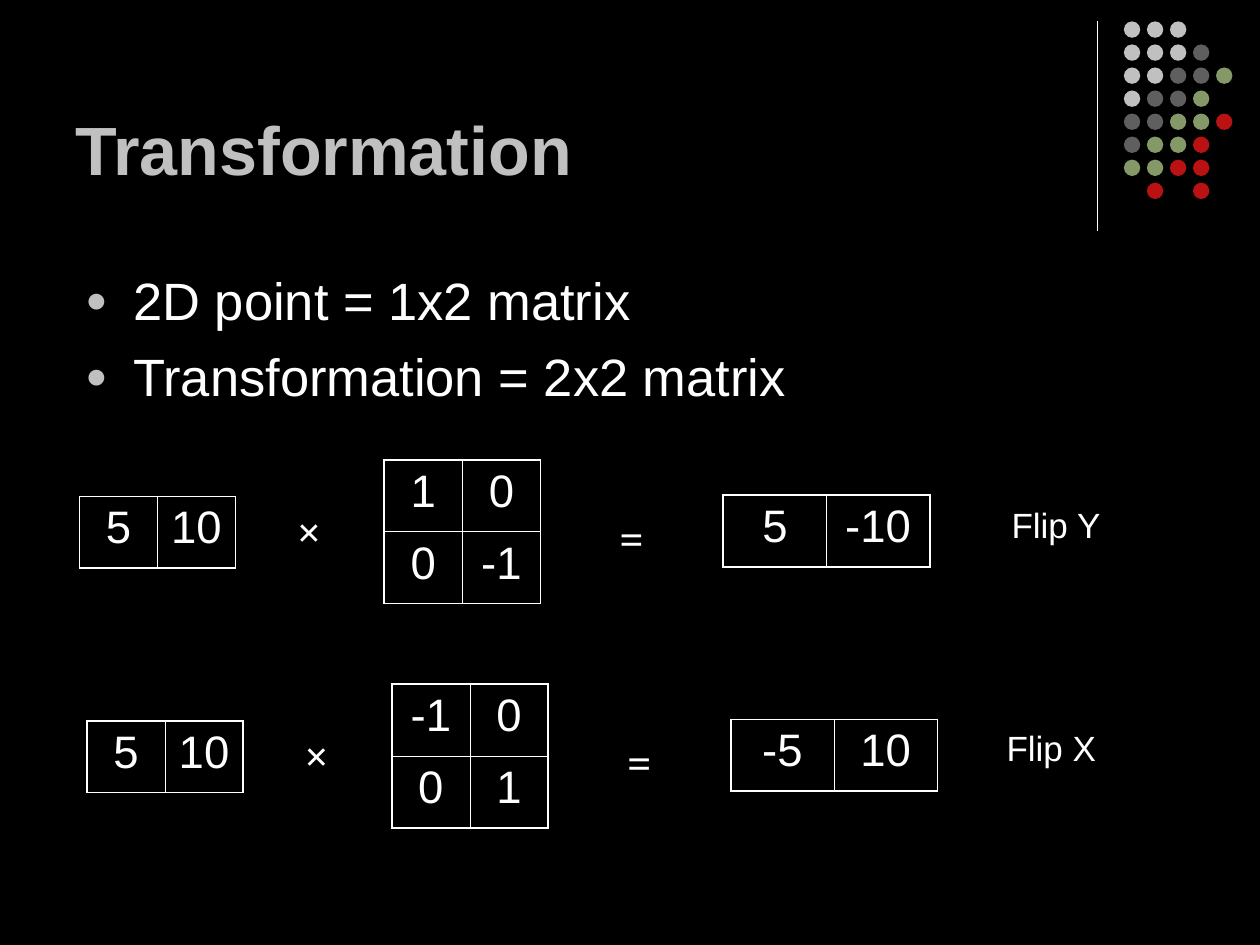
from lxml import etree
from pptx import Presentation, util as u
from pptx.dml.color import RGBColor
from pptx.enum import shapes, text
from pptx.oxml import ns

COLORS = {
    "background": "000000",
    "white": "FFFFFF",
    "silver": "C0C0C0",
    "gray": "5F5F5F",
    "green": "859868",
    "red": "BA1212",
}
OUTER_BORDER, INNER_BORDER = 1.08, 0.45


def rgb(name):
    return RGBColor.from_string(COLORS[name])


def add_xml(parent, tag, **attributes):
    return etree.SubElement(parent, ns.qn(tag), attributes)


def add_bullet(paragraph, color):
    properties = paragraph._p.get_or_add_pPr()
    properties.set("marL", str(u.Inches(0.38)))
    properties.set("indent", str(-u.Inches(0.38)))
    add_xml(add_xml(properties, "a:buClr"), "a:srgbClr", val=COLORS[color])
    add_xml(properties, "a:buSzPct", val="70000")
    add_xml(properties, "a:buFont", typeface="Arial")
    add_xml(properties, "a:buChar", char="●")


def write_text(frame, content, size=26, font="Arial", color="white", bold=False,
               align=text.PP_ALIGN.LEFT, before=0, bullet=None):
    """Write each line of content as one formatted paragraph."""
    frame.text = content
    for paragraph in frame.paragraphs:
        paragraph.alignment = align
        paragraph.space_before = u.Pt(before)
        paragraph.font.size = u.Pt(size)
        paragraph.font.name = font
        paragraph.font.bold = bold
        paragraph.font.color.rgb = rgb(color)
        if bullet:
            add_bullet(paragraph, bullet)


class SlideBuilder:
    def __init__(self, presentation):
        self.slide = presentation.slides.add_slide(presentation.slide_layouts[6])
        fill = self.slide.background.fill
        fill.solid()
        fill.fore_color.rgb = rgb("background")

    def line(self, x1, y1, x2, y2, width=0.75):
        connector = self.slide.shapes.add_connector(
            shapes.MSO_CONNECTOR.STRAIGHT,
            u.Inches(x1), u.Inches(y1), u.Inches(x2), u.Inches(y2))
        connector.line.color.rgb = rgb("white")
        connector.line.width = u.Pt(width)
        add_xml(connector._element.spPr, "a:effectLst")

    def dot(self, left, top, color, size=0.13):
        shape = self.slide.shapes.add_shape(
            shapes.MSO_SHAPE.OVAL, u.Inches(left), u.Inches(top),
            u.Inches(size), u.Inches(size))
        shape.shadow.inherit = False
        shape.fill.solid()
        shape.fill.fore_color.rgb = rgb(color)
        shape.line.fill.background()

    def text_box(self, left, top, width, height, content,
                 anchor=text.MSO_ANCHOR.TOP, **text_format):
        box = self.slide.shapes.add_textbox(
            u.Inches(left), u.Inches(top), u.Inches(width), u.Inches(height))
        box.text_frame.word_wrap = True
        box.text_frame.vertical_anchor = anchor
        write_text(box.text_frame, content, **text_format)

    def matrix(self, left, top, values, column_width=0.62, row_height=0.57):
        rows, columns = len(values), len(values[0])
        table = self.slide.shapes.add_table(
            rows, columns, u.Inches(left), u.Inches(top),
            u.Inches(column_width * columns), u.Inches(row_height * rows)).table
        table.first_row = table.horz_banding = False
        for column in table.columns:
            column.width = u.Inches(column_width)
        for i, row in enumerate(values):
            table.rows[i].height = u.Inches(row_height)
            for j, value in enumerate(row):
                cell = table.cell(i, j)
                cell.fill.background()
                cell.margin_left = cell.margin_right = u.Inches(0.1)
                cell.margin_top = cell.margin_bottom = u.Inches(0.05)
                write_text(cell.text_frame, str(value), before=6.5,
                           align=text.PP_ALIGN.CENTER)
                self.cell_borders(cell, L=j == 0, R=j == columns - 1,
                                  T=i == 0, B=i == rows - 1)

    def cell_borders(self, cell, **outer_sides):
        properties = cell._tc.get_or_add_tcPr()
        for position, (side, outer) in enumerate(outer_sides.items()):
            width = u.Pt(OUTER_BORDER if outer else INNER_BORDER)
            border = add_xml(properties, f"a:ln{side}", w=str(width))
            add_xml(add_xml(border, "a:solidFill"), "a:srgbClr", val=COLORS["white"])
            properties.insert(position, border)  # borders precede the fill

    def equation(self, x, y, point, transform, result):
        """Lay out point × transform = result from the point's top left."""
        operator = dict(size=24, font="Times New Roman", bold=True, before=15)
        self.matrix(x, y, [point])
        self.text_box(x + 1.63, y + 0.02, 0.45, 0.5, "×", **operator)
        self.matrix(x + 2.42, y - 0.29, transform)
        self.text_box(x + 4.19, y + 0.08, 0.45, 0.5, "=", **operator)
        self.matrix(x + 5.11, y - 0.01, [result], column_width=0.82)


def main():
    presentation = Presentation()
    presentation.slide_width, presentation.slide_height = u.Inches(10), u.Inches(7.5)
    builder = SlideBuilder(presentation)

    # Corner decoration: one letter per dot, a space for a gap
    builder.line(8.71, 0.17, 8.71, 1.83)
    dot_colors = {"s": "silver", "y": "gray", "g": "green", "r": "red"}
    dot_rows = ["sss", "sssy", "ssyyg", "syyg", "yyggr", "yggr", "ggrr", " r r"]
    pitch = 1.28 / 7
    for i, row in enumerate(dot_rows):
        for j, letter in enumerate(row):
            if letter in dot_colors:
                builder.dot(8.92 + j * pitch, 0.17 + i * pitch, dot_colors[letter])

    # Title and bullets
    builder.text_box(0.5, 0.13, 8.25, 1.42, "Transformation", size=39, bold=True,
                     color="silver", anchor=text.MSO_ANCHOR.BOTTOM)
    builder.text_box(0.58, 2.08, 9, 1.35,
                     "2D point = 1x2 matrix\nTransformation = 2x2 matrix",
                     size=30, before=7.5, bullet="silver")

    # Matrix products and their labels
    builder.equation(0.63, 3.94, [5, 10], [[1, 0], [0, -1]], [5, -10])
    builder.equation(0.69, 5.72, [5, 10], [[-1, 0], [0, 1]], [-5, 10])
    for left, top, label in [(7.93, 3.95, "Flip Y"), (7.89, 5.72, "Flip X")]:
        builder.text_box(left, top, 1.47, 0.44, label, size=20, before=12.5)

    presentation.save("out.pptx")


if __name__ == "__main__":
    main()
